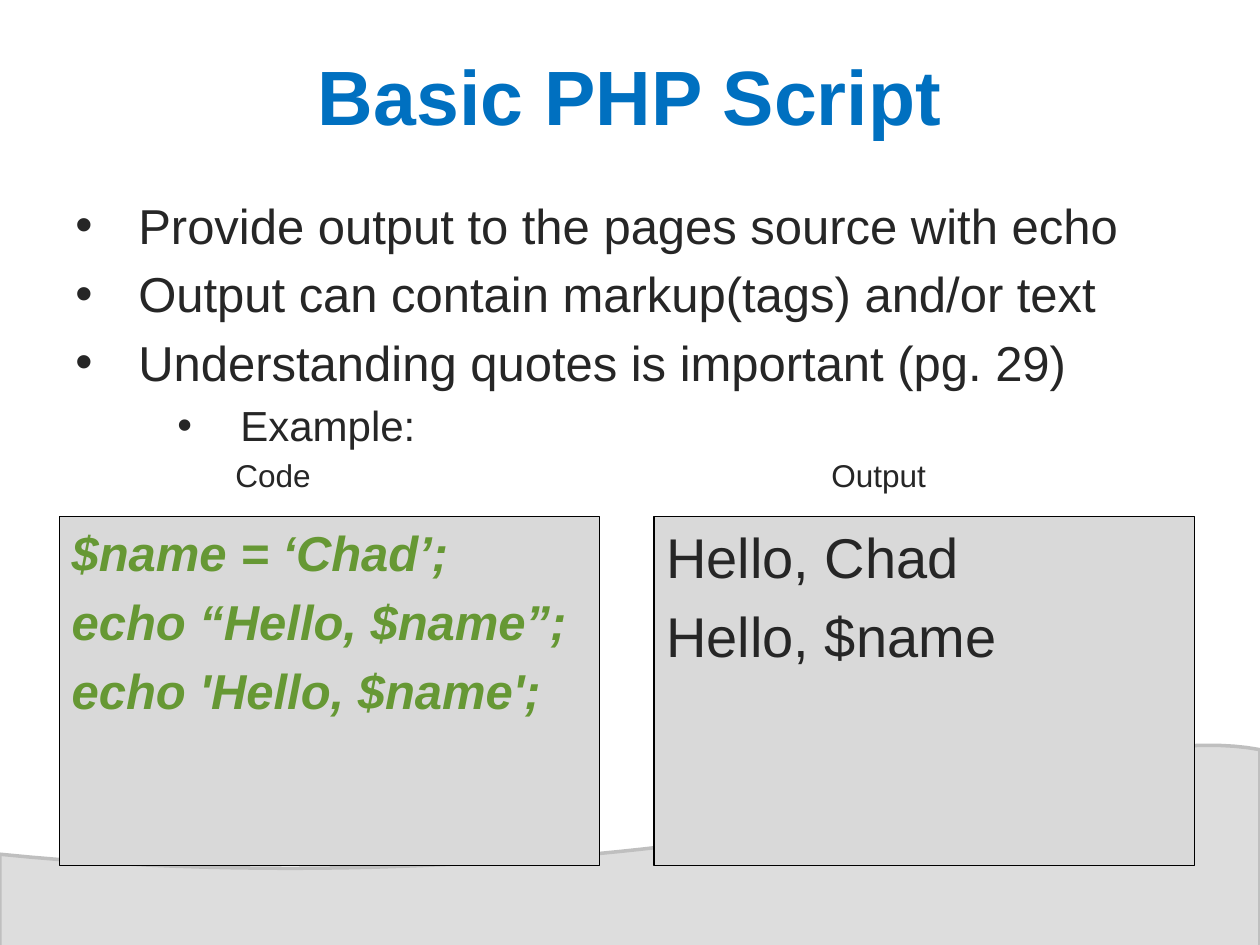
from lxml import etree
from pptx import Presentation
from pptx import util as u
from pptx.dml.color import RGBColor
from pptx.enum import shapes, text
from pptx.oxml import ns

Inches, Pt = u.Inches, u.Pt
INK, GREEN = "262626", "669834"


def rgb(hex_color):
    """Turn a hex string into a colour."""
    return RGBColor.from_string(hex_color)


def write(frame, lines, size, color, bold=False, italic=False):
    """Add lines as paragraphs with 20% space before and return them."""
    added = []
    for line in lines:
        first = not frame.paragraphs[0].runs
        paragraph = frame.paragraphs[0] if first else frame.add_paragraph()
        paragraph.alignment = text.PP_ALIGN.LEFT
        before = etree.SubElement(paragraph._p.get_or_add_pPr(), ns.qn("a:spcBef"))
        etree.SubElement(before, ns.qn("a:spcPct"), val="20000")
        run = paragraph.add_run()
        run.text = line
        font = run.font
        font.name, font.size, font.bold, font.italic = "Arial", Pt(size), bold, italic
        font.color.rgb = rgb(color)
        added.append(paragraph)
    return added


deck = Presentation()
deck.slide_width, deck.slide_height = Inches(10), Inches(7.5)
slide = deck.slides.add_slide(deck.slide_layouts[5])

# Wave along the foot of the slide, sampled from two Bezier curves
curves = [
    [(0, 6.78), (2.36, 7.02), (4.65, 6.83), (6.01, 6.62)],
    [(6.01, 6.62), (7.37, 6.4), (9, 5.76), (10, 5.95)],
]
STEPS = 30
outline = [(0, 6.78)]
for curve in curves:
    for step in range(1, STEPS + 1):
        t = step / STEPS
        weights = [(1 - t) ** 3, 3 * t * (1 - t) ** 2, 3 * t**2 * (1 - t), t**3]
        outline.append(tuple(
            sum(w * point[axis] for w, point in zip(weights, curve)) for axis in (0, 1)
        ))
outline.append((10, 7.54))
builder = slide.shapes.build_freeform(Inches(0), Inches(7.58))
builder.add_line_segments([(Inches(x), Inches(y)) for x, y in outline], close=True)
wave = builder.convert_to_shape()
wave.shadow.inherit = False
wave.fill.solid()
wave.fill.fore_color.rgb = rgb("DDDDDD")
wave.line.color.rgb = rgb("BFBFBF")
wave.line.width = Pt(2)

# Title with a soft text shadow
title = slide.shapes.title
title.left, title.top, title.width, title.height = map(Inches, (0.5, 0.33, 9, 0.84))
title.text_frame.vertical_anchor = text.MSO_ANCHOR.MIDDLE
heading = title.text_frame.paragraphs[0]
heading.alignment = text.PP_ALIGN.CENTER
heading_run = heading.add_run()
heading_run.text = "Basic PHP Script"
heading_run.font.name = "Arial"
heading_run.font.size = Pt(44)
heading_run.font.bold = True
heading_run.font.color.rgb = rgb("0070C0")
effects = etree.Element(ns.qn("a:effectLst"))
glow = etree.SubElement(effects, ns.qn("a:outerShdw"), blurRad="38100", dist="38100", dir="5400000")
tint = etree.SubElement(glow, ns.qn("a:srgbClr"), val="000000")
etree.SubElement(tint, ns.qn("a:alpha"), val="40000")
heading_run._r.rPr.find(ns.qn("a:solidFill")).addnext(effects)

# Bullet points, then the labels above the two panels
points = slide.shapes.add_textbox(Inches(0.5), Inches(1.5), Inches(9), Inches(4.33)).text_frame
points.word_wrap = True
bullets = write(points, [
    "Provide output to the pages source with echo",
    "Output can contain markup(tags) and/or text",
    "Understanding quotes is important (pg. 29)",
], 28, INK)
example = write(points, ["Example:"], 24, INK)
example[0].level = 1
for bullet in bullets + example:
    props = bullet._p.pPr
    props.set("marL", str(Inches(1.31 if bullet.level else 0.5)))
    props.set("indent", str(Inches(-0.5)))
    etree.SubElement(props, ns.qn("a:buFont"), typeface="Arial")
    etree.SubElement(props, ns.qn("a:buChar"), char="\u2022")

labels = write(points, ["\tCode\tOutput"], 18, INK)[0]
tabs = etree.SubElement(labels._p.pPr, ns.qn("a:tabLst"))
for stop in (1.27, 6):
    etree.SubElement(tabs, ns.qn("a:tab"), pos=str(Inches(stop)), algn="l")

# Code and output panels
panels = [
    (0.47, ["$name = \u2018Chad\u2019;", "echo \u201cHello, $name\u201d;", "echo 'Hello, $name';"],
     28, GREEN, True),
    (5.19, ["Hello, Chad", "Hello, $name"], 32, INK, False),
]
for left, lines, size, color, emphasis in panels:
    panel = slide.shapes.add_shape(
        shapes.MSO_SHAPE.RECTANGLE, Inches(left), Inches(4.1), Inches(4.29), Inches(2.77))
    panel.shadow.inherit = False
    panel.fill.solid()
    panel.fill.fore_color.rgb = rgb("D9D9D9")
    panel.line.color.rgb = rgb("000000")
    panel.line.width = Pt(0.75)
    panel.text_frame.word_wrap = True
    panel.text_frame.vertical_anchor = text.MSO_ANCHOR.TOP
    write(panel.text_frame, lines, size, color, emphasis, emphasis)

deck.save("out.pptx")
